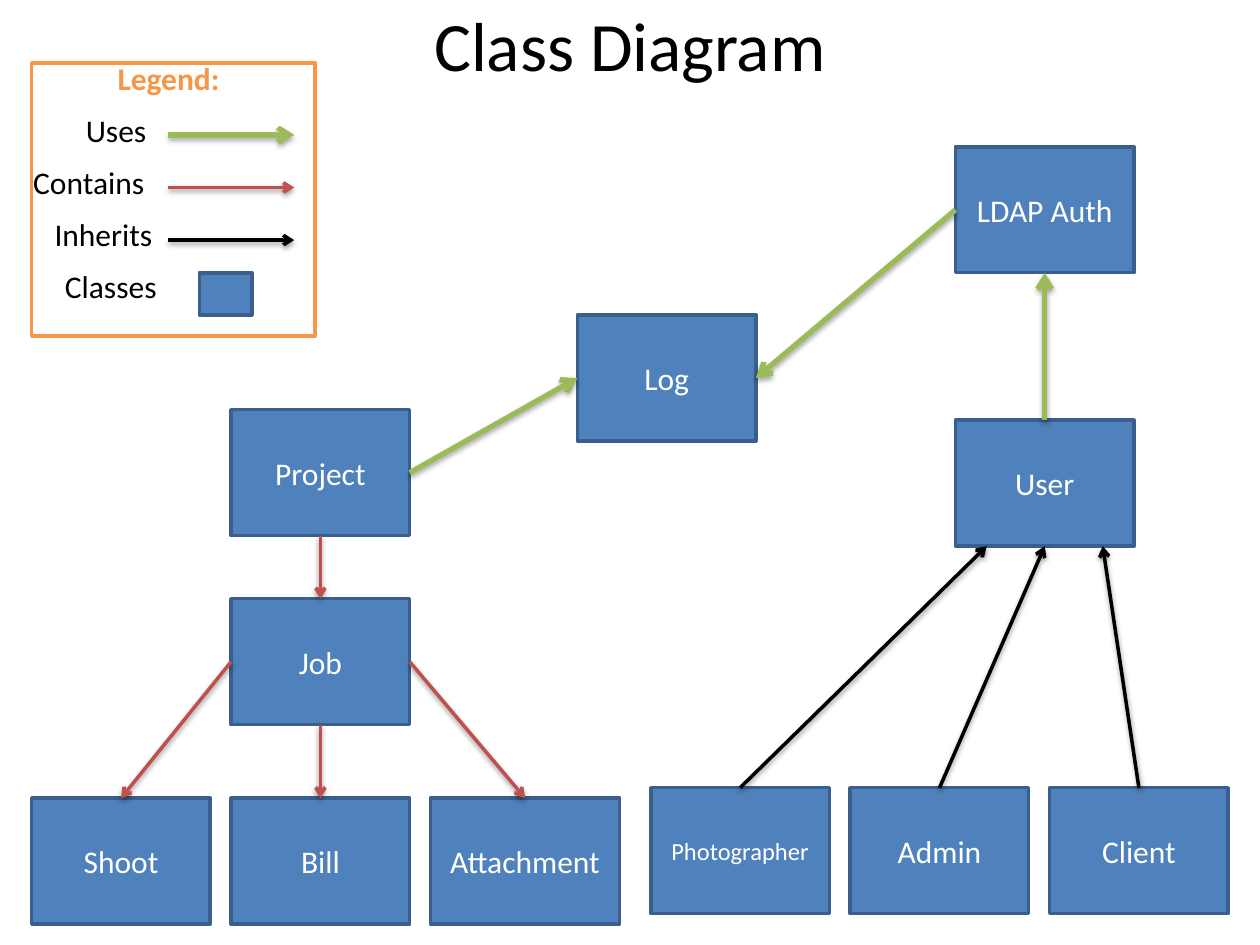
from lxml import etree
from pptx import Presentation
from pptx.dml.color import RGBColor
from pptx.enum.shapes import MSO_CONNECTOR, MSO_SHAPE
from pptx.enum.text import MSO_ANCHOR, MSO_AUTO_SIZE, PP_ALIGN
from pptx.oxml.ns import qn
from pptx.util import Cm, Pt

COLORS = {"class": "4F81BD", "edge": "3A5F8C", "legend": "F79646",
          "white": "FFFFFF", "black": "000000",
          "uses": "9BBB59", "contains": "C0504D", "inherits": "000000"}
# Line width (pt), shadow distance (pt) and shadow opacity (%)
ARROWS = {"uses": (3, 1.8, 35), "contains": (2, 1.6, 38), "inherits": (2, 1.6, 38)}
TOP, LEFT, BOTTOM, RIGHT = range(4)
BOX_W, BOX_H = 3.6, 2.54
COLUMN_STEP = 4.02
PARTS_X, PARTS_Y = 0.64, 16.09
ROLES_X, ROLES_Y = 13.12, 15.88
USER_X = 19.26


def rgb(name):
    """Look up a palette colour."""
    return RGBColor.from_string(COLORS[name])


def write(frame, text, size, color, align=None, bold=None):
    """Put one styled run into a text frame."""
    paragraph = frame.paragraphs[0]
    paragraph.alignment = align
    run = paragraph.add_run()
    run.text = text
    run.font.name = "Calibri"
    run.font.size = Pt(size)
    run.font.bold = bold
    run.font.color.rgb = rgb(color)


def add_box(slide, x, y, w=BOX_W, h=BOX_H, text="", size=18, fill="class", line="edge"):
    """Draw a rectangle with an optional centred name."""
    box = slide.shapes.add_shape(MSO_SHAPE.RECTANGLE, Cm(x), Cm(y), Cm(w), Cm(h))
    box.shadow.inherit = False
    box.fill.solid()
    box.fill.fore_color.rgb = rgb(fill)
    box.line.color.rgb = rgb(line)
    box.line.width = Pt(2)
    if text:
        box.text_frame.vertical_anchor = MSO_ANCHOR.MIDDLE
        write(box.text_frame, text, size, "white", PP_ALIGN.CENTER)
    return box


def add_label(slide, x, y, w, text, color="black", bold=None, wrap=False):
    """Add a one-line legend text that grows with its content."""
    frame = slide.shapes.add_textbox(Cm(x), Cm(y), Cm(w), Cm(1.03)).text_frame
    frame.word_wrap = wrap
    frame.auto_size = MSO_AUTO_SIZE.SHAPE_TO_FIT_TEXT
    write(frame, text, 18, color, bold=bold)


def add_title(slide, text):
    """Add the centred slide title."""
    frame = slide.shapes.add_textbox(Cm(1.27), 0, Cm(22.86), Cm(1.78)).text_frame
    frame.word_wrap = True
    frame.vertical_anchor = MSO_ANCHOR.MIDDLE
    write(frame, text, 39.6, "black", PP_ALIGN.CENTER)


def add_arrow(slide, relation, start, end):
    """Draw a shadowed arrow between two points, styled by its relation."""
    width, distance, opacity = ARROWS[relation]
    arrow = slide.shapes.add_connector(MSO_CONNECTOR.STRAIGHT, *start, *end)
    arrow.line.color.rgb = rgb(relation)
    arrow.line.width = Pt(width)
    etree.SubElement(arrow.line._get_or_add_ln(), qn("a:tailEnd"), type="arrow")
    effects = etree.SubElement(arrow._element.spPr, qn("a:effectLst"))
    shadow = etree.SubElement(effects, qn("a:outerShdw"), blurRad=str(Pt(3.1)),
                              dist=str(Pt(distance)), dir="5400000", rotWithShape="0")
    tint = etree.SubElement(shadow, qn("a:srgbClr"), val=COLORS["black"])
    etree.SubElement(tint, qn("a:alpha"), val=str(opacity * 1000))
    return arrow


def side_point(box, side):
    """Return the middle of one side of a box."""
    dx, dy = {TOP: (1, 0), LEFT: (0, 1), BOTTOM: (1, 2), RIGHT: (2, 1)}[side]
    return box.left + box.width * dx // 2, box.top + box.height * dy // 2


def link(slide, relation, source, source_side, target, target_side, shift=0):
    """Join two boxes; a shifted end stays off the middle of the target side."""
    x, y = side_point(target, target_side)
    arrow = add_arrow(slide, relation, side_point(source, source_side), (x + Cm(shift), y))
    arrow.begin_connect(source, source_side)
    if not shift:
        arrow.end_connect(target, target_side)


def add_legend(slide):
    """Draw the legend frame, its rows and its heading."""
    add_box(slide, 0.64, 1.27, 5.71, 5.51, fill="white", line="legend")
    rows = [("Uses", 1.48, 1.75), ("Contains", 0.42, 2.77),
            ("Inherits", 0.85, 2.51), ("Classes", 1.06, 2.39)]
    for i, (text, x, w) in enumerate(rows):
        add_label(slide, x, 2.11 + 1.05 * i, w, text)
    for i, relation in enumerate(ARROWS):
        y = Cm(2.72 + 1.06 * i)
        add_arrow(slide, relation, (Cm(3.39), y), (Cm(5.93), y))
    add_box(slide, 4.02, 5.5, 1.06, 0.85)
    add_label(slide, 2.12, 1.06, 3.18, "Legend:", "legend", True, wrap=True)


def main():
    """Build the class diagram slide."""
    prs = Presentation()
    prs.slide_width, prs.slide_height = Cm(25.4), Cm(19.05)
    slide = prs.slides.add_slide(prs.slide_layouts[6])

    add_legend(slide)
    add_title(slide, "Class Diagram")

    middle_x = PARTS_X + COLUMN_STEP
    places = {"Project": (middle_x, 8.26), "Job": (middle_x, 12.07), "Log": (11.64, 6.35),
              "LDAP Auth": (USER_X, 2.96), "User": (USER_X, 8.47)}
    for i, name in enumerate(["Shoot", "Bill", "Attachment"]):
        places[name] = (PARTS_X + COLUMN_STEP * i, PARTS_Y)
    for i, name in enumerate(["Photographer", "Admin", "Client"]):
        places[name] = (ROLES_X + COLUMN_STEP * i, ROLES_Y)
    widths, sizes = {"Attachment": 3.81}, {"Photographer": 14}
    boxes = {name: add_box(slide, x, y, widths.get(name, BOX_W), text=name,
                           size=sizes.get(name, 18))
             for name, (x, y) in places.items()}

    links = [("inherits", "Photographer", TOP, "User", BOTTOM, -1.17),
             ("inherits", "Admin", TOP, "User", BOTTOM, 0),
             ("inherits", "Client", TOP, "User", BOTTOM, 1.17),
             ("contains", "Project", BOTTOM, "Job", TOP, 0),
             ("contains", "Job", RIGHT, "Attachment", TOP, 0),
             ("contains", "Job", LEFT, "Shoot", TOP, 0),
             ("contains", "Job", BOTTOM, "Bill", TOP, 0),
             ("uses", "User", TOP, "LDAP Auth", BOTTOM, 0),
             ("uses", "LDAP Auth", LEFT, "Log", RIGHT, 0),
             ("uses", "Project", RIGHT, "Log", LEFT, 0)]
    for relation, source, source_side, target, target_side, shift in links:
        link(slide, relation, boxes[source], source_side, boxes[target], target_side, shift)

    prs.save("out.pptx")


main()
